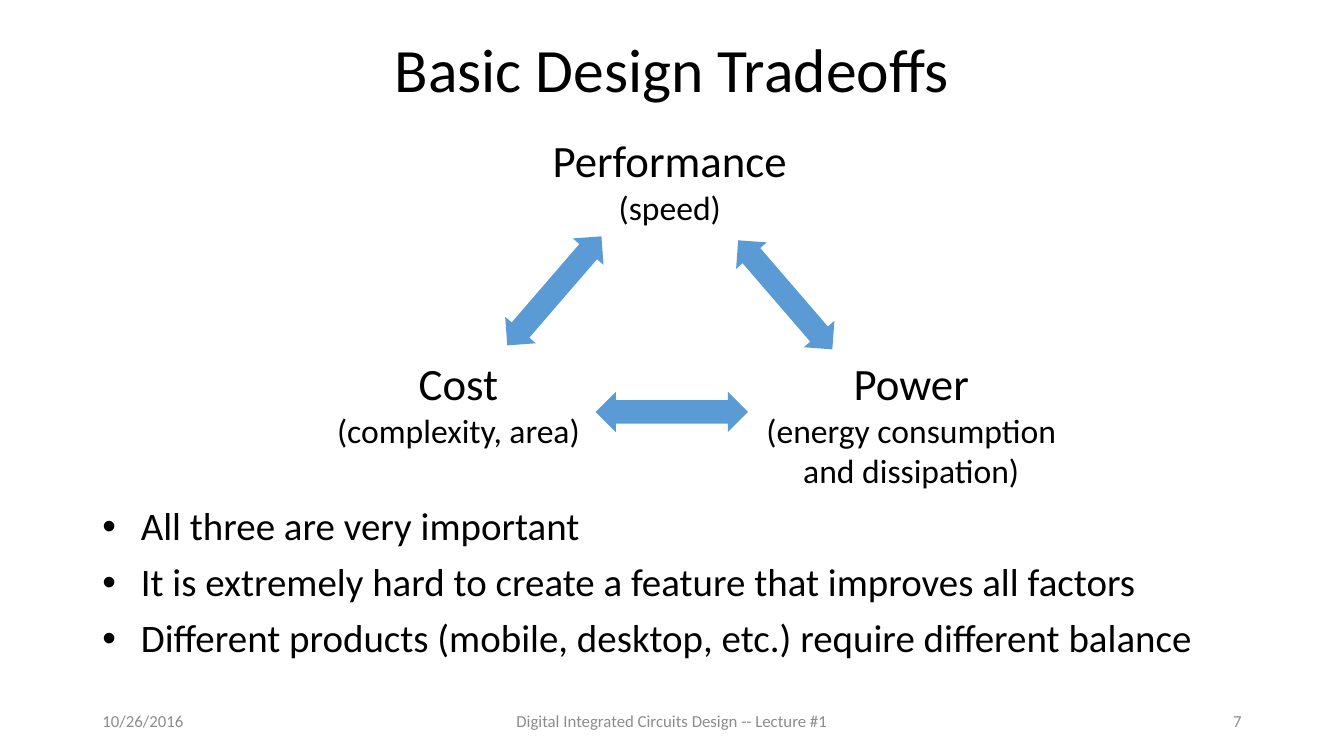
from pptx import Presentation
from pptx.dml.color import RGBColor
from pptx.enum import shapes, text
from pptx.oxml import parse_xml
from pptx.oxml.ns import nsdecls
from pptx.util import Cm, Pt

COLORS = {"text": "000000", "muted": "8C8C8C", "arrow": "5B9BD5"}
LEFT, CENTER, RIGHT = text.PP_ALIGN.LEFT, text.PP_ALIGN.CENTER, text.PP_ALIGN.RIGHT
MARGIN, CONTENT_W = 2.33, 29.21


def color(name):
    return RGBColor.from_string(COLORS[name])


def add_run(p, words, size, fill="text"):
    r = p.add_run()
    r.text = words
    r.font.name = "Calibri"
    r.font.size = Pt(size)
    r.font.color.rgb = color(fill)


def add_box(s, left, top, width, height, anchor=text.MSO_ANCHOR.TOP):
    sp = s.shapes.add_textbox(Cm(left), Cm(top), Cm(width), Cm(height))
    tf = sp.text_frame
    tf.word_wrap = True
    tf.vertical_anchor = anchor
    return tf


def add_title(s, words, left, top, width, height):
    sp = s.shapes.title
    sp.left, sp.top, sp.width, sp.height = Cm(left), Cm(top), Cm(width), Cm(height)
    tf = sp.text_frame
    tf.vertical_anchor = text.MSO_ANCHOR.MIDDLE
    p = tf.paragraphs[0]
    p.alignment = CENTER
    p.line_spacing = 0.9
    add_run(p, words, 44)


def add_factor(s, name, detail, left, top, width, height):
    tf = add_box(s, left, top, width, height)
    for i, (words, size) in enumerate([(name, 32), (detail, 24)]):
        p = tf.add_paragraph() if i else tf.paragraphs[0]
        p.alignment = CENTER
        add_run(p, words, size)


def add_arrow(s, center_x, center_y, length, rotation):
    width = 1.02
    sp = s.shapes.add_shape(
        shapes.MSO_SHAPE.UP_DOWN_ARROW,
        Cm(center_x - width / 2), Cm(center_y - length / 2), Cm(width), Cm(length))
    sp.adjustments[0] = 0.283
    sp.adjustments[1] = 0.575
    sp.rotation = rotation
    sp.shadow.inherit = False
    sp.fill.solid()
    sp.fill.fore_color.rgb = color("arrow")
    sp.line.fill.background()


def add_tradeoff_triangle(s, left, top, width):
    factor_w, base_y = 8.33, top + 5.61
    add_factor(s, "Performance", "(speed)", left + (width - factor_w) / 2 - 0.38, top, factor_w, 2.64)
    add_factor(s, "Cost", "(complexity, area)", left, base_y, factor_w, 2.64)
    add_factor(s, "Power", "(energy consumption and dissipation)",
               left + width - factor_w, base_y, factor_w, 3.68)
    add_arrow(s, left + 6.58, top + 4.1, 3.63, 40.8)
    add_arrow(s, left + 12.4, top + 4.2, 3.63, 319.2)
    add_arrow(s, left + 9.54, top + 7.15, 3.84, 90)


def add_bullets(s, lines, left, top, width, height):
    tf = add_box(s, left, top, width, height)
    for i, words in enumerate(lines):
        p = tf.add_paragraph() if i else tf.paragraphs[0]
        pPr = p._p.get_or_add_pPr()
        pPr.set("marL", str(Cm(0.97)))
        pPr.set("indent", str(-Cm(0.97)))
        pPr.append(parse_xml(f'<a:buFont {nsdecls("a")} typeface="Arial"/>'))
        pPr.append(parse_xml(f'<a:buChar {nsdecls("a")} char="•"/>'))
        p.line_spacing = 0.9
        if i:
            p.space_before = Pt(10)
        add_run(p, words, 27.8)


def add_footer(s, left, top, width, height):
    side_w, middle_w = 7.62, 11.43
    parts = [
        ("10/26/2016", left, side_w, LEFT),
        ("Digital Integrated Circuits Design -- Lecture #1", left + (width - middle_w) / 2, middle_w, CENTER),
        ("7", left + width - side_w, side_w, RIGHT),
    ]
    for words, x, w, align in parts:
        p = add_box(s, x, top, w, height, text.MSO_ANCHOR.MIDDLE).paragraphs[0]
        p.alignment = align
        add_run(p, words, 12, "muted")


def main():
    prs = Presentation()
    prs.slide_width, prs.slide_height = Cm(33.87), Cm(19.05)
    s = prs.slides.add_slide(prs.slide_layouts[5])
    add_title(s, "Basic Design Tradeoffs", MARGIN, 0, CONTENT_W, 3.68)
    add_bullets(s, [
        "All three are very important",
        "It is extremely hard to create a feature that improves all factors",
        "Different products (mobile, desktop, etc.) require different balance",
    ], MARGIN, 12.65, CONTENT_W, 4.67)
    add_tradeoff_triangle(s, 7.39, 3.23, 19.74)
    add_footer(s, MARGIN, 17.65, CONTENT_W, 1.02)
    prs.save("out.pptx")


if __name__ == "__main__":
    main()
